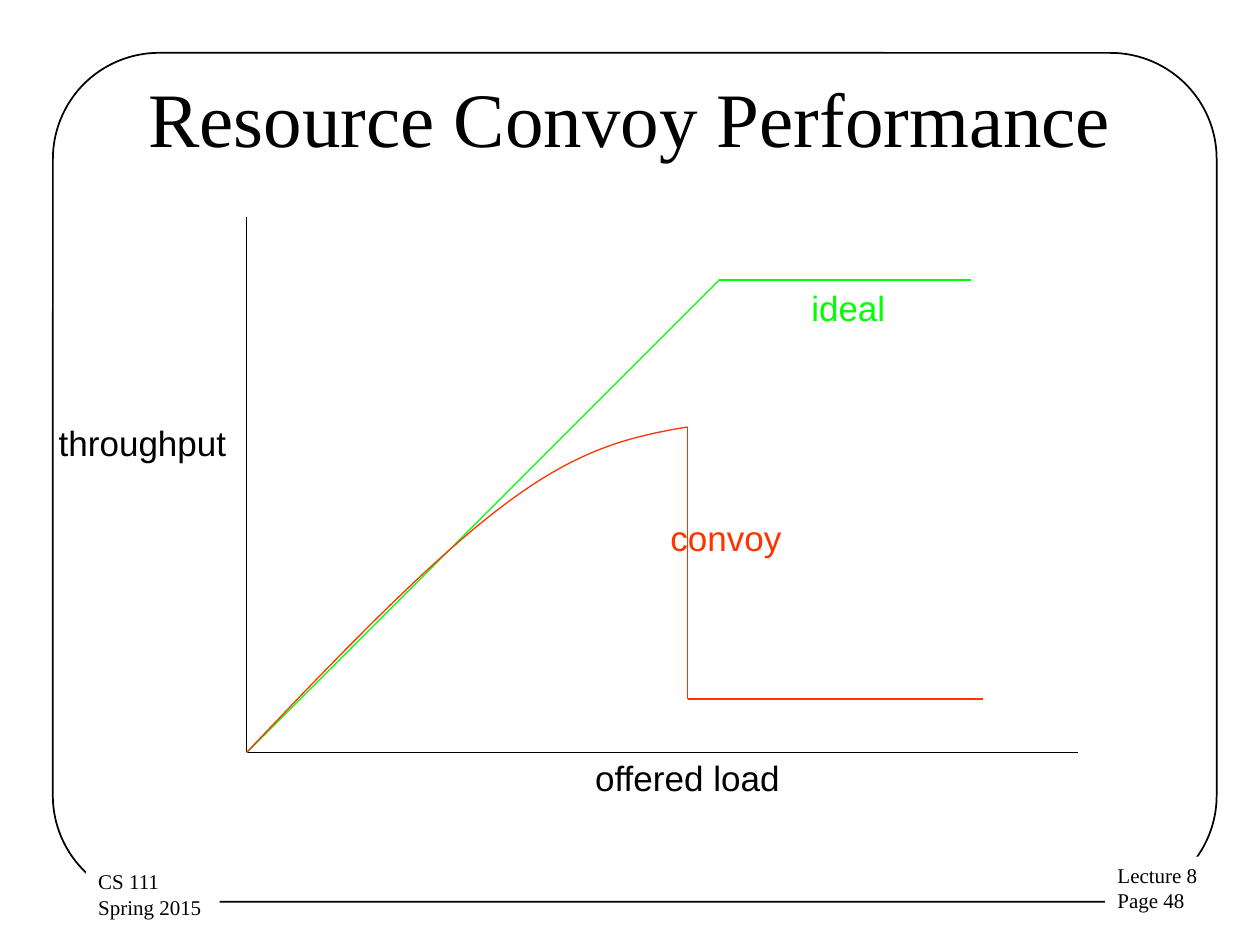
from dataclasses import dataclass
from lxml.etree import SubElement
from pptx import Presentation
from pptx.dml.color import RGBColor
from pptx.enum.shapes import MSO_CONNECTOR, MSO_SHAPE
from pptx.enum.text import MSO_ANCHOR, PP_ALIGN
from pptx.oxml.ns import qn
from pptx.util import Pt


@dataclass(frozen=True)
class Theme:
    ink: RGBColor = RGBColor(0x00, 0x00, 0x00)
    paper: RGBColor = RGBColor(0xFF, 0xFF, 0xFF)
    ideal: RGBColor = RGBColor(0x00, 0xFF, 0x00)
    convoy: RGBColor = RGBColor(0xFF, 0x33, 0x00)
    serif: str = "Times New Roman"
    sans: str = "Arial"
    title_size: int = 44
    label_size: int = 20
    footer_size: int = 12
    frame_width: float = 1
    plot_width: float = 0.75


theme = Theme()


def format_text(text_frame, font_name, size, color, alignment):
    for para in text_frame.paragraphs:
        para.alignment = alignment
        for span in para.runs:
            span.font.name = font_name
            span.font.size = Pt(size)
            span.font.color.rgb = color


def cubic_point(start, control_1, control_2, end, t):
    u = 1 - t
    return tuple(
        Pt(u**3 * a + 3 * u**2 * t * b + 3 * u * t**2 * c + t**3 * d)
        for a, b, c, d in zip(start, control_1, control_2, end)
    )


deck = Presentation()
deck.slide_width, deck.slide_height = Pt(720), Pt(540)
page = deck.slides.add_slide(deck.slide_layouts[5])
page.background.fill.solid()
page.background.fill.fore_color.rgb = theme.paper

title = page.shapes.title
title.left, title.top, title.width, title.height = Pt(36), Pt(21.6), Pt(648), Pt(90)
title.text_frame.text = "Resource Convoy Performance"
title.text_frame.vertical_anchor = MSO_ANCHOR.MIDDLE
format_text(title.text_frame, theme.serif, theme.title_size, theme.ink, PP_ALIGN.CENTER)

frame = page.shapes.add_shape(
    MSO_SHAPE.ROUNDED_RECTANGLE, Pt(30.25), Pt(30.25), Pt(665), Pt(485)
)
frame.adjustments[0] = 0.125
frame.shadow.inherit = False
frame.fill.background()
frame.line.color.rgb = theme.ink
frame.line.width = Pt(theme.frame_width)

footers = [
    ("Lecture 8\nPage 48", 631.5, 489.5, 88.5),
    ("CS 111\nSpring 2015", 49, 493, 76.5),
]
for text, left, top, width in footers:
    box = page.shapes.add_shape(
        MSO_SHAPE.RECTANGLE, Pt(left), Pt(top), Pt(width), Pt(36)
    )
    box.shadow.inherit = False
    box.fill.solid()
    box.fill.fore_color.rgb = theme.paper
    box.line.fill.background()
    box.text_frame.text = text
    box.text_frame.word_wrap = False
    box.text_frame.vertical_anchor = MSO_ANCHOR.TOP
    format_text(
        box.text_frame, theme.serif, theme.footer_size, theme.ink, PP_ALIGN.LEFT
    )

origin = (141, 430)
ideal_knee = (411, 160)
convoy_peak = (393, 244)
convoy_floor = (393, 399.5)

segments = [
    ((141, 124), origin, theme.ink),
    (origin, (616, 430), theme.ink),
    (origin, ideal_knee, theme.ideal),
    (ideal_knee, (555, 160), theme.ideal),
    (convoy_peak, convoy_floor, theme.convoy),
    (convoy_floor, (561.5, 399.5), theme.convoy),
]
for start, end, color in segments:
    line = page.shapes.add_connector(
        MSO_CONNECTOR.STRAIGHT, *(Pt(value) for value in start + end)
    )
    line.line.color.rgb = color
    line.line.width = Pt(theme.plot_width)
    SubElement(line._element.spPr, qn("a:effectLst"))

curve_middle = (291.5, 286)
curve_parts = [
    (origin, (195, 373), (249, 317), curve_middle),
    (curve_middle, (333.5, 255), (363.5, 249), convoy_peak),
]
steps = 20
curve_points = [
    cubic_point(*part, step / steps)
    for part in curve_parts
    for step in range(1, steps + 1)
]
builder = page.shapes.build_freeform(Pt(origin[0]), Pt(origin[1]))
builder.add_line_segments(curve_points, close=False)
convoy_curve = builder.convert_to_shape()
convoy_curve.shadow.inherit = False
convoy_curve.fill.background()
convoy_curve.line.color.rgb = theme.convoy
convoy_curve.line.width = Pt(theme.plot_width)

labels = [
    ("throughput", 26.5, 237.5, 116, theme.ink),
    ("offered load", 333, 428.5, 120, theme.ink),
    ("ideal", 456.5, 160, 57, theme.ideal),
    ("convoy", 376, 291.5, 78, theme.convoy),
]
for text, left, top, width, color in labels:
    label = page.shapes.add_textbox(Pt(left), Pt(top), Pt(width), Pt(31.5))
    label.text_frame.text = text
    label.text_frame.word_wrap = True
    format_text(
        label.text_frame, theme.sans, theme.label_size, color, PP_ALIGN.LEFT
    )

deck.save("out.pptx")
